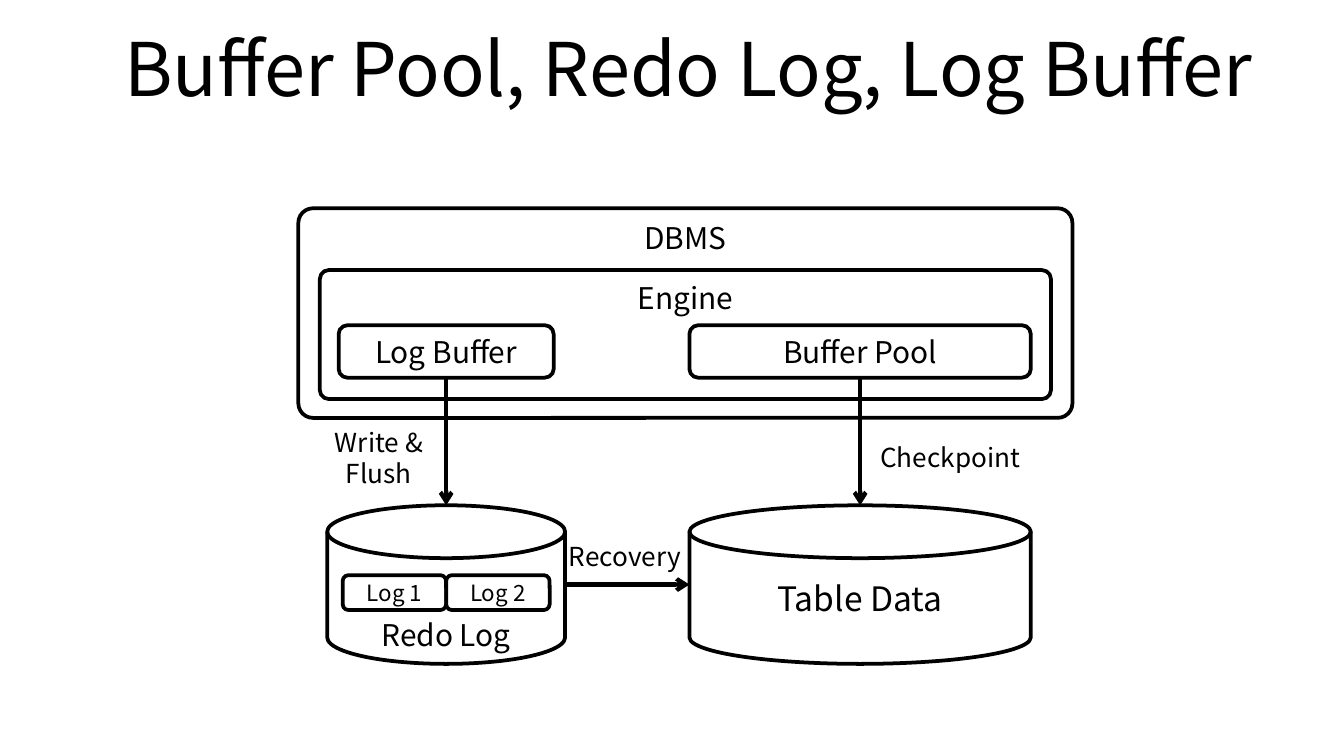
from dataclasses import dataclass
from typing import Optional

from lxml import etree
from pptx import Presentation
from pptx.dml.color import RGBColor
from pptx.enum import shapes, text
from pptx.oxml import ns
from pptx.util import Inches, Pt

FONT = "Noto Sans CJK KR"
INK, PAPER = "000000", "FFFFFF"
BOX = shapes.MSO_SHAPE.ROUNDED_RECTANGLE
DISK = shapes.MSO_SHAPE.FLOWCHART_MAGNETIC_DISK
TOP, MIDDLE = text.MSO_ANCHOR.TOP, text.MSO_ANCHOR.MIDDLE

SLIDE_W = 10
SLIDE_H = SLIDE_W * 9 / 16
LOG_X, POOL_X = 3.32, 6.4  # centres of the two columns
POOL_W, DISK_W = 2.54, 1.77
BUFFER_Y, BUFFER_H = 2.42, 0.39
DISK_Y, DISK_H = 3.76, 1.18
LOG_W = 0.77


@dataclass
class Label:
    """Text placed by its horizontal centre and its top."""
    label: str
    center: float
    top: float
    width: float
    height: float
    size: float = 14
    anchor: text.MSO_ANCHOR = MIDDLE


@dataclass
class Node(Label):
    """A label inside an outlined shape."""
    size: float = 16
    kind: shapes.MSO_SHAPE = BOX
    corner: Optional[float] = None


@dataclass
class Arrow:
    start: tuple[float, float]
    end: tuple[float, float]
    source: Optional[str] = None


NODES = [
    Node("Table Data", POOL_X, DISK_Y, POOL_W, DISK_H, 18, kind=DISK),
    Node("", LOG_X, DISK_Y, DISK_W, DISK_H, kind=DISK),
    Node("DBMS", 5.1, 1.55, 5.76, 1.56, anchor=TOP, corner=0.07),
    Node("Engine", 5.1, 2.01, 5.44, 0.96, anchor=TOP, corner=0.07),
    Node("Log Buffer", LOG_X, BUFFER_Y, 1.6, BUFFER_H),
    Node("Buffer Pool", POOL_X, BUFFER_Y, POOL_W, BUFFER_H),
    *(Node(f"Log {i + 1}", LOG_X + (i - 0.5) * LOG_W, 4.28, LOG_W, 0.26, 12)
      for i in range(2)),
]
LABELS = [
    Label("Buffer Pool, Redo Log, Log Buffer", 5.12, 0.03, 9, 0.94, 39.6),
    Label("Write & Flush", 2.82, 3.12, 1.13, 0.57),
    Label("Checkpoint", 7.07, 3.23, 1.35, 0.34),
    Label("Recovery", 4.65, 3.97, 1.35, 0.34),
    Label("Redo Log", LOG_X, 4.54, 1.35, 0.37, 16),
]
DISK_MIDDLE = DISK_Y + DISK_H / 2
BUFFER_BOTTOM = BUFFER_Y + BUFFER_H
ARROWS = [
    Arrow((LOG_X + DISK_W / 2, DISK_MIDDLE), (POOL_X - POOL_W / 2, DISK_MIDDLE)),
    Arrow((LOG_X, BUFFER_BOTTOM), (LOG_X, DISK_Y), "Log Buffer"),
    Arrow((POOL_X, BUFFER_BOTTOM), (POOL_X, DISK_Y), "Buffer Pool"),
]


def color(value: str) -> RGBColor:
    return RGBColor.from_string(value)


def bounds(item: Label) -> list[Inches]:
    left = item.center - item.width / 2
    return [Inches(v) for v in (left, item.top, item.width, item.height)]


def write(s, item: Label) -> None:
    tf = s.text_frame
    tf.word_wrap = True
    tf.vertical_anchor = item.anchor
    p = tf.paragraphs[0]
    p.text = item.label
    p.alignment = text.PP_ALIGN.CENTER
    p.font.name = FONT
    p.font.size = Pt(item.size)
    p.font.color.rgb = color(INK)


def add_node(slide, node: Node):
    s = slide.shapes.add_shape(node.kind, *bounds(node))
    s.shadow.inherit = False
    s.fill.solid()
    s.fill.fore_color.rgb = color(PAPER)
    s.line.color.rgb = color(INK)
    s.line.width = Pt(2)
    if node.corner is not None:
        s.adjustments[0] = node.corner
    if node.label:
        write(s, node)
    return s


def add_label(slide, label: Label) -> None:
    write(slide.shapes.add_textbox(*bounds(label)), label)


def add_arrow(slide, arrow: Arrow, nodes: dict) -> None:
    ends = [Inches(v) for v in (*arrow.start, *arrow.end)]
    c = slide.shapes.add_connector(shapes.MSO_CONNECTOR.STRAIGHT, *ends)
    c.line.color.rgb = color(INK)
    c.line.width = Pt(2.25)
    etree.SubElement(c.line._get_or_add_ln(), ns.qn("a:tailEnd"), type="arrow")
    etree.SubElement(c._element.spPr, ns.qn("a:effectLst"))
    if arrow.source:
        c.begin_connect(nodes[arrow.source], 2)


def main() -> None:
    prs = Presentation()
    prs.slide_width, prs.slide_height = Inches(SLIDE_W), Inches(SLIDE_H)
    slide = prs.slides.add_slide(prs.slide_layouts[6])
    nodes = {node.label: add_node(slide, node) for node in NODES}
    for label in LABELS:
        add_label(slide, label)
    for arrow in ARROWS:
        add_arrow(slide, arrow, nodes)
    prs.save("out.pptx")


if __name__ == "__main__":
    main()
